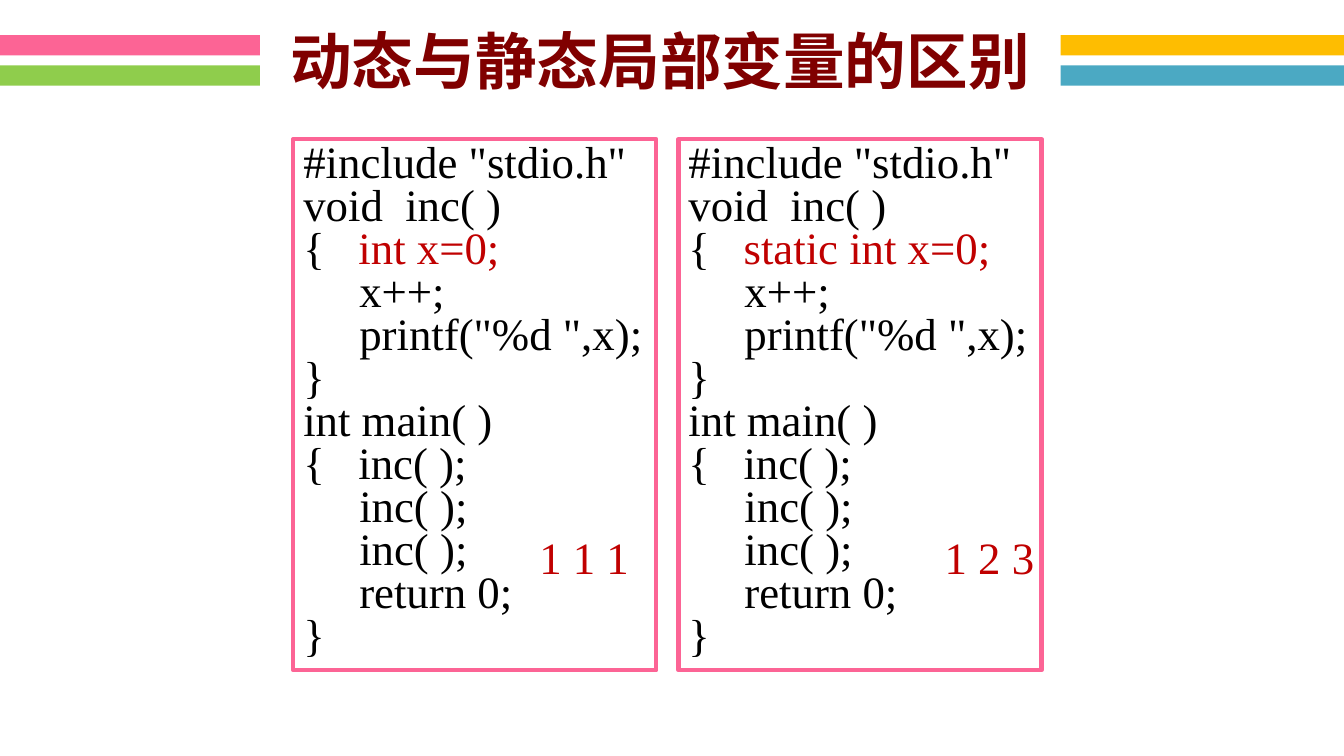
from dataclasses import dataclass

from pptx import Presentation
from pptx import util as u
from pptx.dml import color
from pptx.enum import shapes, text


@dataclass(frozen=True)
class Theme:
    pink: str = "FC6495"
    green: str = "8FCD4C"
    yellow: str = "FEBD01"
    blue: str = "4BA9C3"
    white: str = "FFFFFF"
    black: str = "000000"
    red: str = "C00000"
    maroon: str = "800000"
    title_font: str = "Arial"
    code_font: str = "Times New Roman"
    title_size: int = 44
    code_size: int = 32


def rgb(value):
    return color.RGBColor.from_string(value)


def add_span(para, words, *, font, size, ink, bold=False):
    """Append formatted text to a paragraph."""
    span = para.add_run()
    span.text = words
    span.font.name = font
    span.font.size = u.Pt(size)
    span.font.bold = bold
    span.font.color.rgb = rgb(ink)


class SlideBuilder:
    def __init__(self, page, theme):
        self.page = page
        self.theme = theme

    def rectangle(self, left, top, width, height, fill, line=None):
        box = self.page.shapes.add_shape(
            shapes.MSO_SHAPE.RECTANGLE, *map(u.Inches, (left, top, width, height)))
        box.shadow.inherit = False
        box.fill.solid()
        box.fill.fore_color.rgb = rgb(fill)
        if line:
            box.line.color.rgb = rgb(line)
            box.line.width = u.Pt(3)
        else:
            box.line.fill.background()
        return box

    def title(self, words, left, top, width, height):
        box = self.page.shapes.title
        box.left, box.top, box.width, box.height = map(
            u.Inches, (left, top, width, height))
        box.fill.solid()
        box.fill.fore_color.rgb = rgb(self.theme.white)
        # The white title panel lies over the inner ends of the stripes
        box.element.getparent().append(box.element)
        frame = box.text_frame
        frame.auto_size = text.MSO_AUTO_SIZE.NONE
        frame.vertical_anchor = text.MSO_ANCHOR.MIDDLE
        para = frame.paragraphs[0]
        para.alignment = text.PP_ALIGN.CENTER
        add_span(para, words, font=self.theme.title_font,
                 size=self.theme.title_size, ink=self.theme.maroon, bold=True)

    def set_lines(self, box, lines, spacing=None):
        """Fill a box with lines, each a list of (words, ink) pairs."""
        frame = box.text_frame
        frame.word_wrap = False
        frame.auto_size = text.MSO_AUTO_SIZE.SHAPE_TO_FIT_TEXT
        frame.vertical_anchor = text.MSO_ANCHOR.TOP
        for index, line in enumerate(lines):
            para = frame.add_paragraph() if index else frame.paragraphs[0]
            para.alignment = text.PP_ALIGN.LEFT
            para.line_spacing = spacing
            for words, ink in line:
                add_span(para, words, font=self.theme.code_font,
                         size=self.theme.code_size, ink=ink)

    def code(self, left, declaration):
        theme = self.theme
        box = self.rectangle(left, 1.38, 3.6, 5.27, theme.white, theme.pink)
        lines = [[(words, theme.black)] for words in CODE]
        lines[DECLARATION_LINE].append((declaration, theme.red))
        self.set_lines(box, lines, spacing=0.8)

    def output(self, left, words):
        box = self.page.shapes.add_textbox(
            *map(u.Inches, (left, 5.21, 1.09, 0.63)))
        self.set_lines(box, [[(words, self.theme.red)]])


CODE = [
    '#include "stdio.h"',
    "void  inc( )",
    "{   ",
    "     x++;",
    '     printf("%d ",x);',
    "}",
    "int main( )",
    "{   inc( );",
    "     inc( );",
    "     inc( );",
    "     return 0;",
    "}",
]
DECLARATION_LINE = 2


def main():
    deck = Presentation()
    deck.slide_width, deck.slide_height = u.Inches(13.33), u.Inches(7.5)
    theme = Theme()
    builder = SlideBuilder(deck.slides.add_slide(deck.slide_layouts[5]), theme)

    # Stripes on both sides of the heading
    for left, fills in ((0, (theme.pink, theme.green)),
                        (8.57, (theme.yellow, theme.blue))):
        for row, fill in enumerate(fills):
            builder.rectangle(left, 0.35 + 0.3 * row, 4.76, 0.2, fill)

    # Automatic and static versions of the program
    builder.code(2.91, "int x=0;")
    builder.code(6.73, "static int x=0;")

    # Heading
    builder.title("动态与静态局部变量的区别", 2.58, 0.17, 7.94, 0.84)

    # Printed results
    builder.output(5.25, "1 1 1")
    builder.output(9.27, "1 2 3")

    deck.save("out.pptx")


if __name__ == "__main__":
    main()
